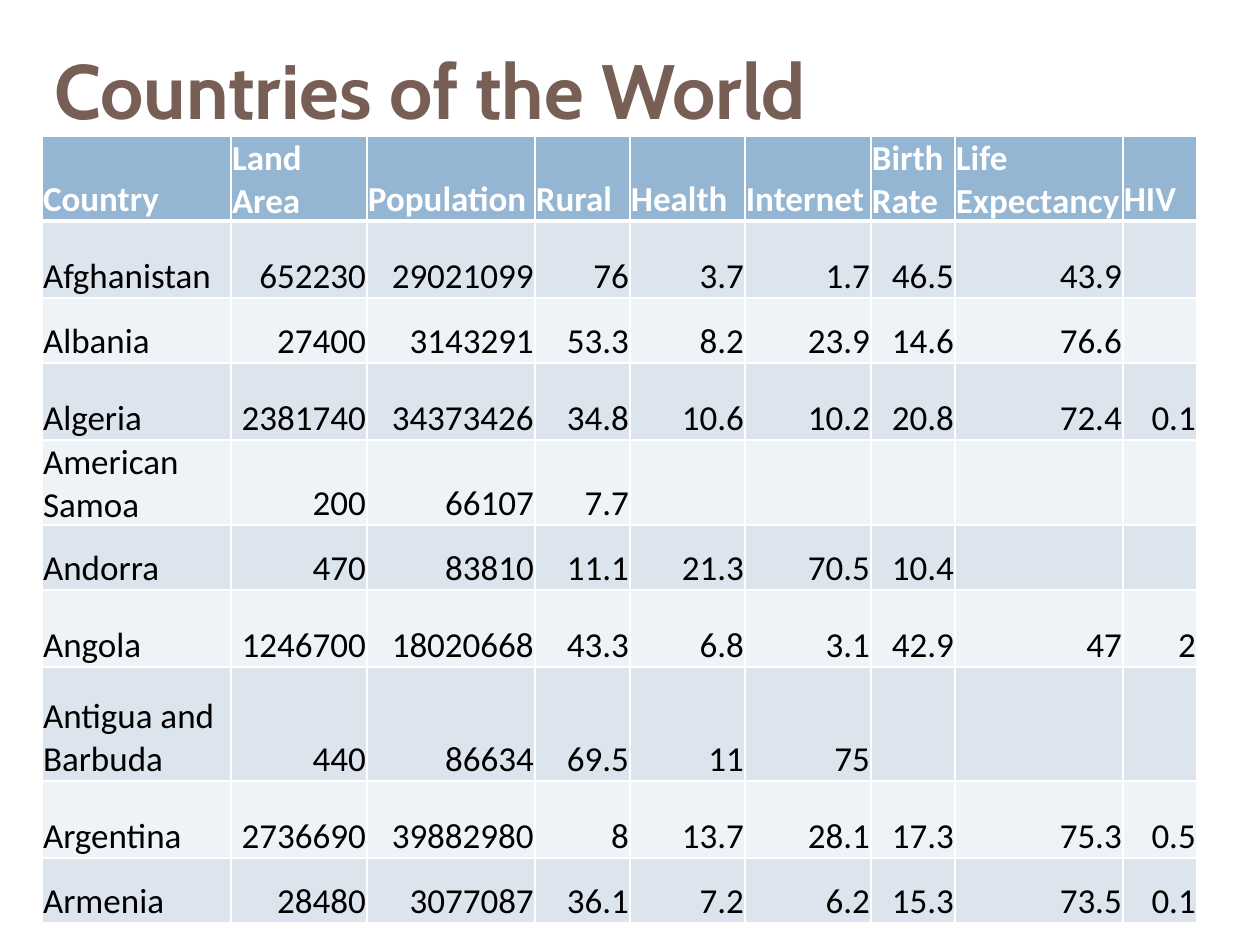
from lxml.etree import SubElement
from pptx import Presentation
from pptx.dml.color import RGBColor
from pptx.enum.text import MSO_ANCHOR, PP_ALIGN
from pptx.oxml.ns import qn
from pptx.util import Emu, Pt

TITLE = "Countries of the World"
HEADERS = ["Country", "Land Area", "Population", "Rural", "Health",
           "Internet", "Birth Rate", "Life Expectancy", "HIV"]
COUNTRIES = [
    ["Afghanistan", "652230", "29021099", "76", "3.7", "1.7", "46.5", "43.9", ""],
    ["Albania", "27400", "3143291", "53.3", "8.2", "23.9", "14.6", "76.6", ""],
    ["Algeria", "2381740", "34373426", "34.8", "10.6", "10.2", "20.8", "72.4", "0.1"],
    ["American Samoa", "200", "66107", "7.7", "", "", "", "", ""],
    ["Andorra", "470", "83810", "11.1", "21.3", "70.5", "10.4", "", ""],
    ["Angola", "1246700", "18020668", "43.3", "6.8", "3.1", "42.9", "47", "2"],
    ["Antigua and Barbuda", "440", "86634", "69.5", "11", "75", "", "", ""],
    ["Argentina", "2736690", "39882980", "8", "13.7", "28.1", "17.3", "75.3", "0.5"],
    ["Armenia", "28480", "3077087", "36.1", "7.2", "6.2", "15.3", "73.5", "0.1"],
]
COL_WIDTHS = [189, 136, 168, 95, 115, 126, 84, 168, 74]
ROW_HEIGHTS = [77, 77, 65, 77, 77, 65, 77, 114, 77, 65]
COLORS = {"title": "775F55", "header": "94B6D2", "odd": "DCE5EE",
          "even": "EEF3F7", "white": "FFFFFF", "text": "000000"}


def px(n):
    return Emu(round(n * 914400 / 126))


def color(name):
    return RGBColor.from_string(COLORS[name])


def style_font(font, name, size, color_name, bold):
    font.name, font.size, font.bold = name, Pt(size), bold
    font.color.rgb = color(color_name)


def add_borders(cell, bottom):
    tcPr = cell._tc.get_or_add_tcPr()
    for side, width in (("L", 1), ("R", 1), ("T", 1), ("B", bottom)):
        ln = SubElement(tcPr, qn(f"a:ln{side}"), w=str(Pt(width)))
        fill = SubElement(ln, qn("a:solidFill"))
        SubElement(fill, qn("a:srgbClr"), val=COLORS["white"])


def fill_cell(cell, text, row, col):
    is_header = row == 0
    add_borders(cell, 3 if is_header else 1)
    cell.fill.solid()
    cell.fill.fore_color.rgb = color(
        "header" if is_header else "odd" if row % 2 else "even")
    cell.vertical_anchor = MSO_ANCHOR.BOTTOM
    cell.margin_left = cell.margin_right = cell.margin_top = px(1)
    cell.margin_bottom = 0
    p = cell.text_frame.paragraphs[0]
    p.text = text
    p.alignment = PP_ALIGN.LEFT if is_header or col == 0 else PP_ALIGN.RIGHT
    for r in p.runs:
        style_font(r.font, "Calibri", 20, "white" if is_header else "text", is_header)


prs = Presentation()
prs.slide_width, prs.slide_height = px(1260), px(945)
s = prs.slides.add_slide(prs.slide_layouts[6])

# Title
tf = s.shapes.add_textbox(px(42), px(10), px(1134), px(158)).text_frame
tf.word_wrap = True
tf.vertical_anchor = MSO_ANCHOR.MIDDLE
tf.text = TITLE
style_font(tf.paragraphs[0].runs[0].font, "Cabin", 44, "title", True)

# Country table
rows = [HEADERS] + COUNTRIES
table = s.shapes.add_table(len(rows), len(HEADERS), px(42), px(136),
                           px(sum(COL_WIDTHS)), px(sum(ROW_HEIGHTS))).table
for column, width in zip(table.columns, COL_WIDTHS):
    column.width = px(width)
for table_row, height in zip(table.rows, ROW_HEIGHTS):
    table_row.height = px(height)
for i, values in enumerate(rows):
    for j, value in enumerate(values):
        fill_cell(table.cell(i, j), value, i, j)

prs.save("out.pptx")
